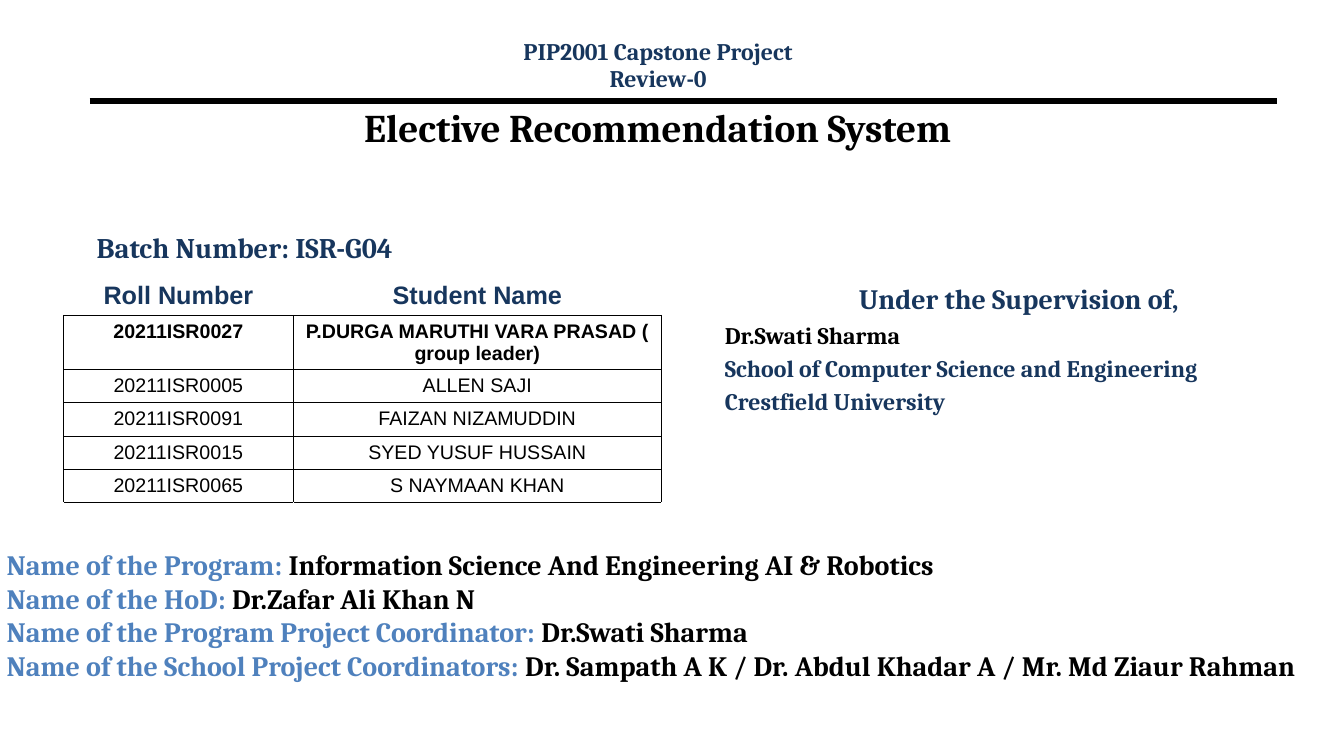
from lxml import etree
from pptx import Presentation
from pptx import util as u
from pptx.dml.color import RGBColor
from pptx.enum import shapes, text
from pptx.oxml import ns

NAVY = RGBColor(0x17, 0x36, 0x5D)
BLUE = RGBColor(0x4F, 0x81, 0xBD)
BLACK = RGBColor(0, 0, 0)
WHITE = RGBColor(255, 255, 255)
LEFT, MID = text.PP_ALIGN.LEFT, text.PP_ALIGN.CENTER

TEAM = [
    ("Roll Number", "Student Name"),
    ("20211ISR0027", "P.DURGA MARUTHI VARA PRASAD ( group leader)"),
    ("20211ISR0005", "ALLEN SAJI"),
    ("20211ISR0091", "FAIZAN NIZAMUDDIN"),
    ("20211ISR0015", "SYED YUSUF HUSSAIN"),
    ("20211ISR0065", "S NAYMAAN KHAN"),
    ("", ""),
]
STAFF = [
    ("Name of the Program: ", "Information Science And Engineering AI & Robotics"),
    ("Name of the HoD: ", "Dr.Zafar Ali Khan N"),
    ("Name of the Program Project Coordinator: ", "Dr.Swati Sharma"),
    ("Name of the School Project Coordinators: ",
     "Dr. Sampath A K / Dr. Abdul Khadar A / Mr. Md Ziaur Rahman"),
]


def write(par, *runs, size=20, font="Cambria", bold=True, align=LEFT,
          before=0, lead=1.0):
    """Fill a paragraph with (words, colour) runs."""
    par.alignment = align
    par.space_before = u.Pt(before)
    par.line_spacing = lead
    for words, color in runs:
        run = par.add_run()
        run.text = words
        run.font.size = u.Pt(size)
        run.font.name = font
        run.font.bold = bold
        run.font.color.rgb = color


def edge(cell, sides):
    """Draw thin black borders on the named sides, in L, R, T, B order."""
    props = cell._tc.get_or_add_tcPr()
    for spot, side in enumerate(sides):
        line = etree.Element(ns.qn(f"a:ln{side}"), w=str(u.Pt(0.75)))
        fill = etree.SubElement(line, ns.qn("a:solidFill"))
        etree.SubElement(fill, ns.qn("a:srgbClr"), val=str(BLACK))
        props.insert(spot, line)


class Deck:
    def __init__(self):
        self.prs = Presentation()
        self.prs.slide_width = u.Inches(13.33)
        self.prs.slide_height = u.Inches(7.5)
        self.slide = self.prs.slides.add_slide(self.prs.slide_layouts[0])

    def rule(self, x, y, end, width):
        line = self.slide.shapes.add_connector(
            shapes.MSO_CONNECTOR.STRAIGHT, u.Cm(x), u.Cm(y), u.Cm(end), u.Cm(y))
        line.line.color.rgb = BLACK
        line.line.width = u.Pt(width)
        etree.SubElement(line._element.spPr, ns.qn("a:effectLst"))

    def holder(self, index, x, y, w, h):
        """Move a template placeholder and return its text frame."""
        item = self.slide.placeholders[index]
        item.left, item.top, item.width, item.height = map(u.Cm, (x, y, w, h))
        frame = item.text_frame
        frame.auto_size = text.MSO_AUTO_SIZE.NONE
        return frame

    def box(self, x, y, w, h, lines):
        """Add a text box from (runs, format) pairs."""
        frame = self.slide.shapes.add_textbox(*map(u.Cm, (x, y, w, h))).text_frame
        frame.word_wrap = True
        for i, (runs, style) in enumerate(lines):
            par = frame.add_paragraph() if i else frame.paragraphs[0]
            write(par, *runs, **style)

    def table(self, x, y, widths, high, rows):
        grid = self.slide.shapes.add_table(
            len(rows), len(widths), u.Cm(x), u.Cm(y),
            u.Cm(sum(widths)), u.Cm(high * len(rows))).table
        grid.first_row = grid.horz_banding = False
        for col, wide in zip(grid.columns, widths):
            col.width = u.Cm(wide)
        last = len(rows) - 1
        for r, row in enumerate(rows):
            for c, words in enumerate(row):
                cell = grid.cell(r, c)
                if 0 < r < last:
                    cell.fill.solid()
                    cell.fill.fore_color.rgb = WHITE
                else:
                    cell.fill.background()
                edge(cell, {0: "B", last: "T"}.get(r, "LRTB"))
                if words:
                    write(cell.text_frame.paragraphs[0],
                          (words, BLACK if r else NAVY), font="Arial",
                          size=14 if r else 18, bold=r < 2, align=MID)


def main():
    deck = Deck()
    deck.rule(2.26, 2.54, 32.16, 4.5)

    title = deck.holder(0, 2.18, 2.97, 28.78, 1.32)
    title.vertical_anchor = text.MSO_ANCHOR.BOTTOM
    title.margin_bottom = u.Cm(0.5)
    write(title.paragraphs[0], ("Elective Recommendation System", BLACK),
          size=28, align=MID)

    batch = deck.holder(1, 2.18, 5.84, 11.02, 1.52)
    write(batch.paragraphs[0], ("Batch Number: ISR-G04", NAVY),
          size=20.3, lead=0.8)

    deck.table(1.6, 6.98, (5.79, 9.27), 0.84, TEAM)

    guide = dict(size=17, before=3.4)
    deck.box(18.01, 6.98, 15.32, 5.61, [
        ([("Under the Supervision of,", NAVY)], dict(align=MID)),
        ([("Dr.Swati Sharma", BLACK)], guide),
        ([("School of Computer Science and Engineering", NAVY)], guide),
        ([("Crestfield University", NAVY)], guide),
    ])

    head = dict(size=17, align=MID, lead=0.8)
    deck.box(11.07, 0.94, 11.02, 1.52, [
        ([("PIP2001 Capstone Project", NAVY)], head),
        ([("Review-0", NAVY)], dict(head, before=3.1)),
    ])

    deck.box(-0.08, 13.67, 34.04, 4.34, [
        ([(role, BLUE), (name, BLACK)], {}) for role, name in STAFF])
    deck.prs.save("out.pptx")


if __name__ == "__main__":
    main()
